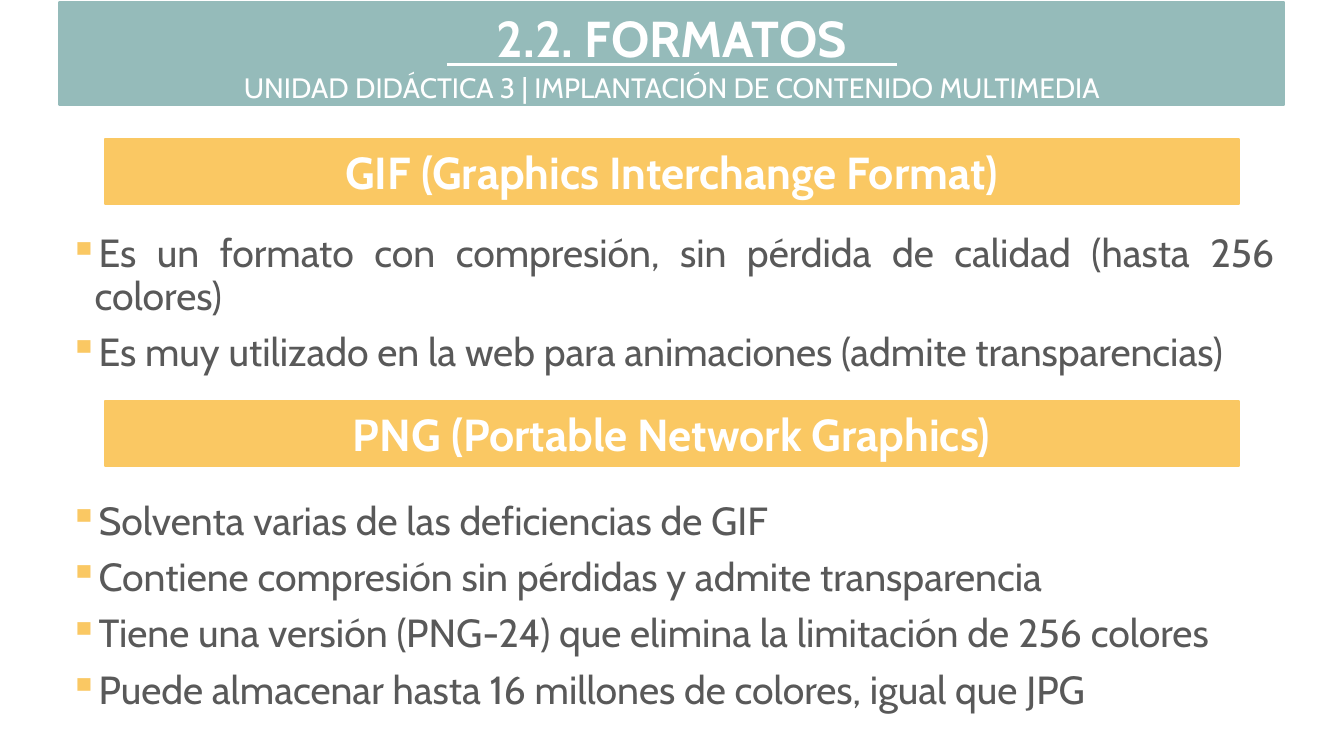
from dataclasses import dataclass

from lxml.etree import SubElement
from pptx import Presentation
from pptx.dml.color import RGBColor
from pptx.enum.shapes import MSO_CONNECTOR, MSO_SHAPE
from pptx.enum.text import MSO_ANCHOR, MSO_AUTO_SIZE, PP_ALIGN
from pptx.oxml.ns import qn
from pptx.shapes.autoshape import Shape
from pptx.slide import Slide
from pptx.util import Pt


@dataclass(frozen=True)
class Theme:
    font: str = "Cabin"
    teal: str = "95BBBA"
    amber: str = "FAC863"
    white: str = "FFFFFF"
    gray: str = "595959"
    title_size: float = 36
    heading_size: float = 32
    body_size: float = 28
    subtitle_size: float = 20
    border: float = 1.5
    rule: float = 2.25
    indent: float = 18


@dataclass(frozen=True)
class Band:
    text: str
    left: float
    top: float
    width: float
    height: float
    color: str
    size: float
    bold: bool = True
    anchor: MSO_ANCHOR = MSO_ANCHOR.MIDDLE


@dataclass(frozen=True)
class BulletList:
    top: float
    height: float
    items: tuple[str, ...]


THEME = Theme()
LEFT, WIDTH = 42.5, 874.8
HEADING_LEFT, HEADING_WIDTH, HEADING_HEIGHT = 74.9, 810, 46.1

TITLE = Band("2.2. FORMATOS", LEFT, 1.4, WIDTH, 72.7, THEME.teal,
             THEME.title_size, anchor=MSO_ANCHOR.TOP)
BANDS = (
    Band("UNIDAD DIDÁCTICA 3 | IMPLANTACIÓN DE CONTENIDO MULTIMEDIA",
         LEFT, 49.7, WIDTH, 25.2, THEME.teal, THEME.subtitle_size, bold=False),
    Band("GIF (Graphics Interchange Format)", HEADING_LEFT, 99.4,
         HEADING_WIDTH, HEADING_HEIGHT, THEME.amber, THEME.heading_size),
    Band("PNG (Portable Network Graphics)", HEADING_LEFT, 286.6,
         HEADING_WIDTH, HEADING_HEIGHT, THEME.amber, THEME.heading_size),
)
LISTS = (
    BulletList(163.5, 110, (
        "Es un formato con compresión, sin pérdida de calidad (hasta 256 colores)",
        "Es muy utilizado en la web para animaciones (admite transparencias)",
    )),
    BulletList(354.5, 160, (
        "Solventa varias de las deficiencias de GIF",
        "Contiene compresión sin pérdidas y admite transparencia",
        "Tiene una versión (PNG-24) que elimina la limitación de 256 colores",
        "Puede almacenar hasta 16 millones de colores, igual que JPG",
    )),
)


def rgb(color: str) -> RGBColor:
    return RGBColor.from_string(color)


def format_runs(sp: Shape, size: float, color: str, bold: bool = False) -> None:
    for p in sp.text_frame.paragraphs:
        for r in p.runs:
            r.font.name = THEME.font
            r.font.size = Pt(size)
            r.font.bold = bold
            r.font.color.rgb = rgb(color)


def format_band(sp: Shape, band: Band) -> None:
    sp.left, sp.top = Pt(band.left), Pt(band.top)
    sp.width, sp.height = Pt(band.width), Pt(band.height)
    sp.shadow.inherit = False
    sp.fill.solid()
    sp.fill.fore_color.rgb = rgb(band.color)
    sp.line.color.rgb = rgb(band.color)
    sp.line.width = Pt(THEME.border)
    tf = sp.text_frame
    tf.text = band.text
    tf.word_wrap = True
    tf.auto_size = MSO_AUTO_SIZE.NONE
    tf.vertical_anchor = band.anchor
    tf.paragraphs[0].alignment = PP_ALIGN.CENTER
    format_runs(sp, band.size, THEME.white, band.bold)


def add_band(s: Slide, band: Band) -> None:
    sp = s.shapes.add_shape(MSO_SHAPE.RECTANGLE, 0, 0, 0, 0)
    format_band(sp, band)


def add_rule(s: Slide, left: float, right: float, y: float) -> None:
    line = s.shapes.add_connector(
        MSO_CONNECTOR.STRAIGHT, Pt(left), Pt(y), Pt(right), Pt(y))
    line.line.color.rgb = rgb(THEME.white)
    line.line.width = Pt(THEME.rule)
    SubElement(line._element.spPr, qn("a:effectLst"))


def add_bullets(s: Slide, bullets: BulletList) -> None:
    sp = s.shapes.add_textbox(
        Pt(LEFT), Pt(bullets.top), Pt(WIDTH), Pt(bullets.height))
    tf = sp.text_frame
    tf.word_wrap = True
    tf.text = "\n".join(bullets.items)
    for i, p in enumerate(tf.paragraphs):
        p.alignment = PP_ALIGN.JUSTIFY
        p.line_spacing = 0.9
        p.space_before = Pt(10 if i else 0)
        pPr = p._p.get_or_add_pPr()
        pPr.set("marL", str(Pt(THEME.indent)))
        pPr.set("indent", str(-Pt(THEME.indent)))
        color = SubElement(pPr, qn("a:buClr"))
        SubElement(color, qn("a:srgbClr"), val=THEME.amber)
        SubElement(pPr, qn("a:buChar"), char="▪")
    format_runs(sp, THEME.body_size, THEME.gray)


def main() -> None:
    prs = Presentation()
    prs.slide_width, prs.slide_height = Pt(960), Pt(540)
    s = prs.slides.add_slide(prs.slide_layouts.get_by_name("Title Only"))
    title = s.shapes.title
    SubElement(title._element.spPr, qn("a:prstGeom"), prst="rect")
    format_band(title, TITLE)
    for bullets in LISTS:
        add_bullets(s, bullets)
    for band in BANDS:
        add_band(s, band)
    add_rule(s, 319, 640.8, 46.1)
    prs.save("out.pptx")


if __name__ == "__main__":
    main()
